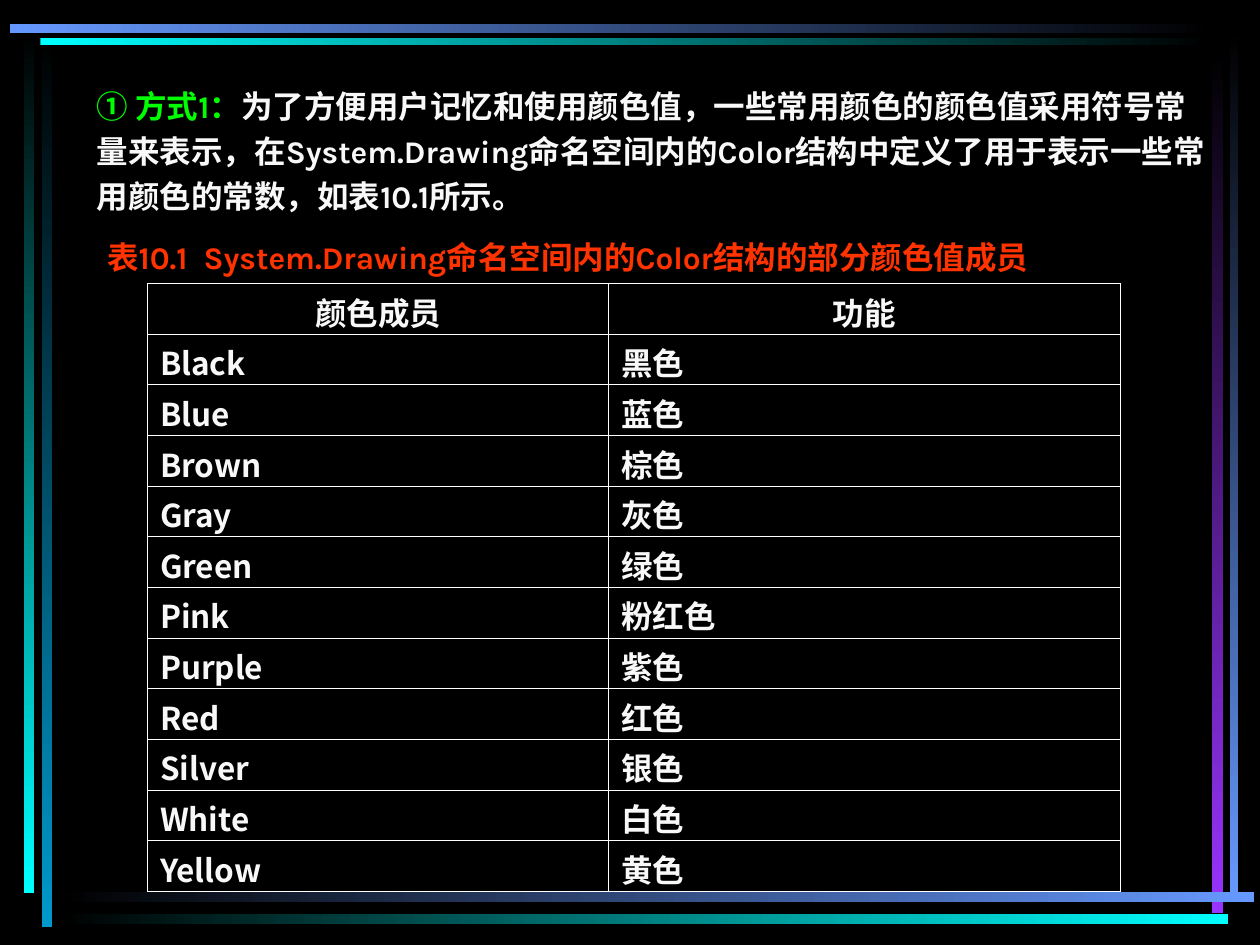
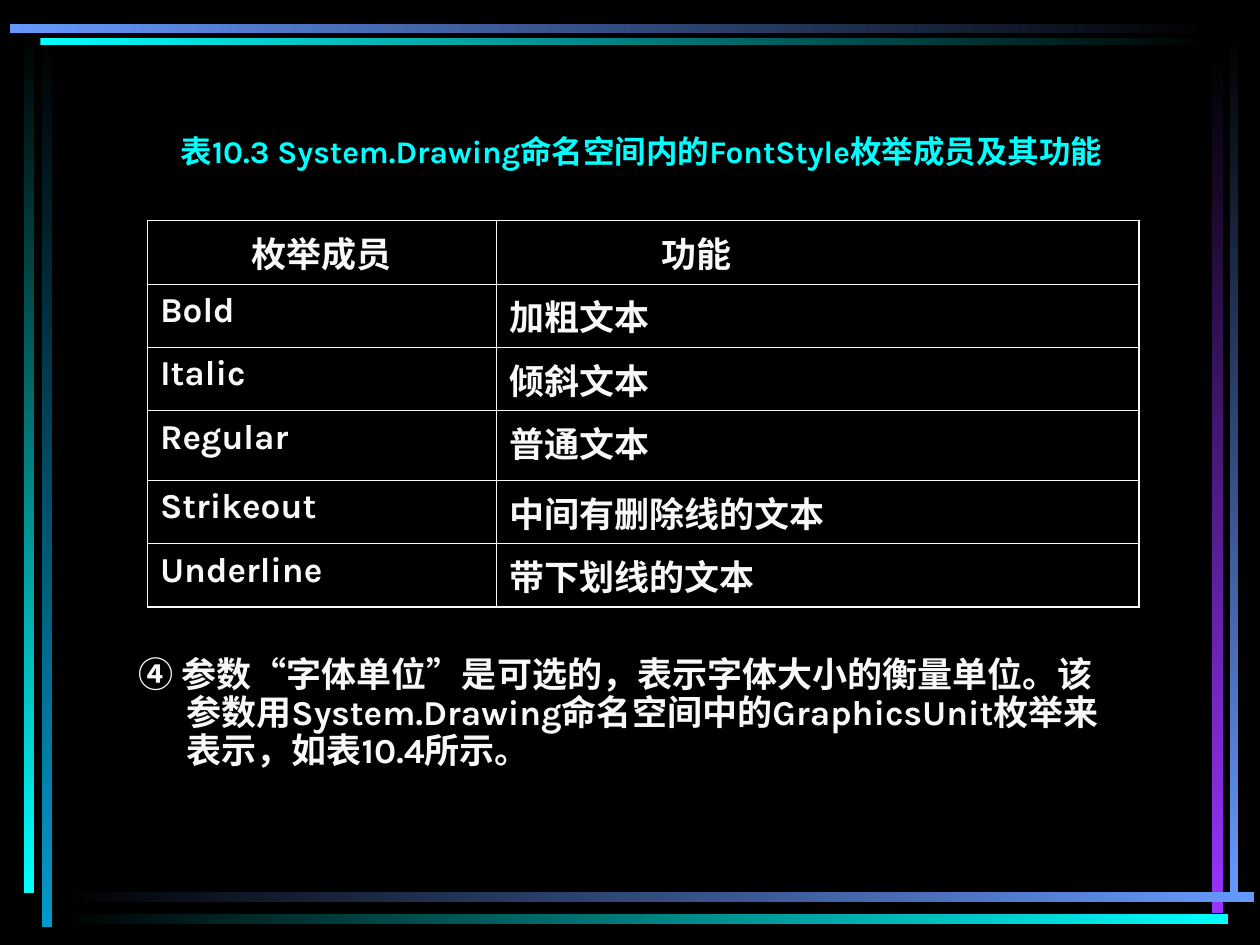
from dataclasses import dataclass
from typing import Any, NamedTuple

from lxml.etree import SubElement
from pptx import Presentation
from pptx.dml.color import RGBColor
from pptx.enum.shapes import MSO_SHAPE
from pptx.enum.text import MSO_ANCHOR as Anchor, MSO_AUTO_SIZE as AutoSize, PP_ALIGN as Align
from pptx.oxml.ns import qn
from pptx.util import Inches, Pt


@dataclass(frozen=True)
class Theme:
    black: str = "000000"
    text: str = "F8F8F8"
    white: str = "FFFFFF"
    cyan: str = "00FFFF"
    teal: str = "0099CC"
    blue: str = "6699FF"
    purple: str = "9933FF"
    green: str = "00FF00"
    red: str = "FF3300"
    latin: str = "Karla"
    chinese: str = "Noto Sans CJK SC"
    quotes: str = "Times New Roman"
    small: int = 18
    large: int = 20
    thin: float = 0.45
    thick: float = 1.08


THEME = Theme()


class Box(NamedTuple):
    left: float
    top: float
    width: float
    height: float

    def lengths(self) -> list[int]:
        return [Inches(value) for value in self]


class Bar(NamedTuple):
    box: Box
    start: str
    end: str
    angle: int


class Piece(NamedTuple):
    text: str
    color: str = THEME.text
    font: str = THEME.latin


@dataclass(frozen=True)
class TableSpec:
    box: Box
    columns: tuple[float, ...]
    row_heights: tuple[float, ...]
    rows: list[tuple[str, str]]
    size: int
    font: str
    line_color: str
    outer_width: float
    cell_top: float = 0.05
    cell_bottom: float = 0.05
    last_header_right: float = 0.1


ACROSS, DOWN = 0, 270
BARS = [
    Bar(Box(0.33, 0.28, 0.08, 7.08), THEME.black, THEME.teal, DOWN),
    Bar(Box(0.19, 0.25, 0.08, 6.84), THEME.black, THEME.cyan, DOWN),
    Bar(Box(9.76, 0.24, 0.07, 6.9), THEME.black, THEME.blue, DOWN),
    Bar(Box(9.62, 0.42, 0.09, 6.83), THEME.black, THEME.purple, DOWN),
    Bar(Box(0.45, 7.08, 9.5, 0.08), THEME.black, THEME.blue, ACROSS),
    Bar(Box(0.45, 7.25, 9.3, 0.08), THEME.black, THEME.cyan, ACROSS),
    Bar(Box(0.32, 0.3, 9.32, 0.06), THEME.cyan, THEME.black, ACROSS),
    Bar(Box(0.08, 0.19, 9.56, 0.07), THEME.blue, THEME.black, ACROSS),
]

COLOR_TABLE = TableSpec(
    Box(1.17, 2.25, 7.72, 4.8), (3.66, 4.06), (0.4,) * 12,
    [
        ("颜色成员", "功能"),
        ("Black", "黑色"),
        ("Blue", "蓝色"),
        ("Brown", "棕色"),
        ("Gray", "灰色"),
        ("Green", "绿色"),
        ("Pink", "粉红色"),
        ("Purple", "紫色"),
        ("Red", "红色"),
        ("Silver", "银色"),
        ("White", "白色"),
        ("Yellow", "黄色"),
    ],
    THEME.small, THEME.chinese, THEME.white, THEME.thin, cell_top=0.04, cell_bottom=0,
)

STYLE_TABLE = TableSpec(
    Box(1.17, 1.75, 7.87, 3.05), (2.77, 5.1), (0.5, 0.5, 0.5, 0.55, 0.5, 0.5),
    [
        ("枚举成员", "功能"),
        ("Bold", "加粗文本"),
        ("Italic", "倾斜文本"),
        ("Regular", "普通文本"),
        ("Strikeout", "中间有删除线的文本"),
        ("Underline", "带下划线的文本"),
    ],
    THEME.large, THEME.latin, THEME.text, THEME.thick, last_header_right=2.03,
)


def apply_format(target: Any, values: dict[str, Any]) -> None:
    for name, value in values.items():
        setattr(target, name, value)


def write_pieces(paragraph: Any, pieces: list[Piece], size: int) -> None:
    for piece in pieces:
        run = paragraph.add_run()
        run.text = piece.text
        apply_format(run.font, {"name": piece.font, "size": Pt(size), "bold": True})
        run.font.color.rgb = RGBColor.from_string(piece.color)
        east_asian = SubElement(run._r.get_or_add_rPr(), qn("a:ea"))
        east_asian.set("typeface", THEME.chinese)


def add_master_bars(master: Any, slide: Any) -> None:
    tree = master.element.cSld.spTree
    for index, bar in enumerate(BARS):
        shape = slide.shapes.add_shape(MSO_SHAPE.RECTANGLE, *bar.box.lengths())
        shape.shadow.inherit = False
        shape.line.fill.background()
        shape.fill.gradient()
        shape.fill.gradient_angle = bar.angle
        for stop, color in zip(shape.fill.gradient_stops, (bar.start, bar.end)):
            stop.color.rgb = RGBColor.from_string(color)
        shape.element.nvSpPr.cNvPr.set("id", str(20 + index))
        tree.insert(2 + index, shape.element)


def set_title(slide: Any, box: Box, piece: Piece, alignment: Align) -> None:
    title = slide.shapes.title
    apply_format(title, dict(zip(("left", "top", "width", "height"), box.lengths())))
    apply_format(title.text_frame, {
        "auto_size": AutoSize.NONE,
        "vertical_anchor": Anchor.MIDDLE,
        "margin_left": Inches(0.1),
        "margin_right": Inches(0.19),
        "margin_top": Inches(0.06),
        "margin_bottom": 0,
    })
    paragraph = title.text_frame.paragraphs[0]
    paragraph.alignment = alignment
    write_pieces(paragraph, [piece], THEME.small)


def add_note(slide: Any, box: Box, pieces: list[Piece], size: int,
             spacing: dict[str, Any], hanging: float = 0) -> None:
    frame = slide.shapes.add_textbox(*box.lengths()).text_frame
    apply_format(frame, {"word_wrap": True, "auto_size": AutoSize.SHAPE_TO_FIT_TEXT})
    paragraph = frame.paragraphs[0]
    apply_format(paragraph, spacing)
    properties = paragraph._p.get_or_add_pPr()
    properties.set("marL", str(Inches(hanging)))
    properties.set("indent", str(-Inches(hanging)))
    write_pieces(paragraph, pieces, size)


def set_borders(cell: Any, color: str, widths: dict[str, float]) -> None:
    properties = cell._tc.get_or_add_tcPr()
    for index, (side, width) in enumerate(widths.items()):
        line = SubElement(properties, qn(f"a:{side}"), w=str(Pt(width)))
        fill = SubElement(line, qn("a:solidFill"))
        SubElement(fill, qn("a:srgbClr"), val=color)
        properties.insert(index, line)


def add_table(slide: Any, spec: TableSpec) -> None:
    last_row, last_column = len(spec.rows) - 1, len(spec.columns) - 1
    table = slide.shapes.add_table(last_row + 1, last_column + 1, *spec.box.lengths()).table
    apply_format(table, {"first_row": False, "horz_banding": False})
    for column, width in zip(table.columns, spec.columns):
        column.width = Inches(width)
    for row, height in zip(table.rows, spec.row_heights):
        row.height = Inches(height)
    for row_index, texts in enumerate(spec.rows):
        for column_index, text in enumerate(texts):
            cell = table.cell(row_index, column_index)
            cell.fill.background()
            apply_format(cell, {
                "margin_top": Inches(spec.cell_top),
                "margin_bottom": Inches(spec.cell_bottom),
            })
            paragraph = cell.text_frame.paragraphs[0]
            if row_index == 0:
                paragraph.alignment = Align.CENTER
                if column_index == last_column:
                    cell.margin_right = Inches(spec.last_header_right)
            write_pieces(paragraph, [Piece(text, font=spec.font)], spec.size)
            on_edge = {
                "lnL": column_index == 0,
                "lnR": column_index == last_column,
                "lnT": row_index == 0,
                "lnB": row_index == last_row,
            }
            set_borders(cell, spec.line_color, {
                side: spec.outer_width if edge else THEME.thin for side, edge in on_edge.items()
            })


def build_color_slide(slide: Any) -> None:
    caption = Piece("表10.1  System.Drawing命名空间内的Color结构的部分颜色值成员", THEME.red)
    set_title(slide, Box(0.75, 1.75, 8.85, 0.52), caption, Align.LEFT)
    add_table(slide, COLOR_TABLE)
    add_note(slide, Box(0.67, 0.58, 9, 1.18), [
        Piece("① 方式1：", THEME.green),
        Piece("为了方便用户记忆和使用颜色值，一些常用颜色的颜色值采用符号常量来表示，"
              "在System.Drawing命名空间内的Color结构中定义了用于表示一些常用颜色的常数，"
              "如表10.1所示。"),
    ], THEME.small, {"line_spacing": 1.2, "space_before": Pt(4.5)})


def build_style_slide(slide: Any) -> None:
    caption = Piece("表10.3 System.Drawing命名空间内的FontStyle枚举成员及其功能", THEME.cyan)
    set_title(slide, Box(0.92, 0.93, 8.43, 0.47), caption, Align.CENTER)
    add_table(slide, STYLE_TABLE)
    add_note(slide, Box(1, 5.17, 7.95, 1), [
        Piece("④ 参数"),
        Piece("“", font=THEME.quotes),
        Piece("字体单位"),
        Piece("”", font=THEME.quotes),
        Piece("是可选的，表示字体大小的衡量单位。该参数用System.Drawing命名空间中的"
              "GraphicsUnit枚举来表示，如表10.4所示。"),
    ], THEME.large, {"line_spacing": 0.9, "space_before": Pt(5)}, 0.38)


def main() -> None:
    presentation = Presentation()
    apply_format(presentation, {"slide_width": Inches(10), "slide_height": Inches(7.5)})
    master = presentation.slide_master
    master.background.fill.solid()
    master.background.fill.fore_color.rgb = RGBColor.from_string(THEME.black)
    title_only = presentation.slide_layouts.get_by_name("Title Only")
    slides = [presentation.slides.add_slide(title_only) for _ in range(2)]
    add_master_bars(master, slides[0])
    build_color_slide(slides[0])
    build_style_slide(slides[1])
    presentation.save("out.pptx")


if __name__ == "__main__":
    main()
